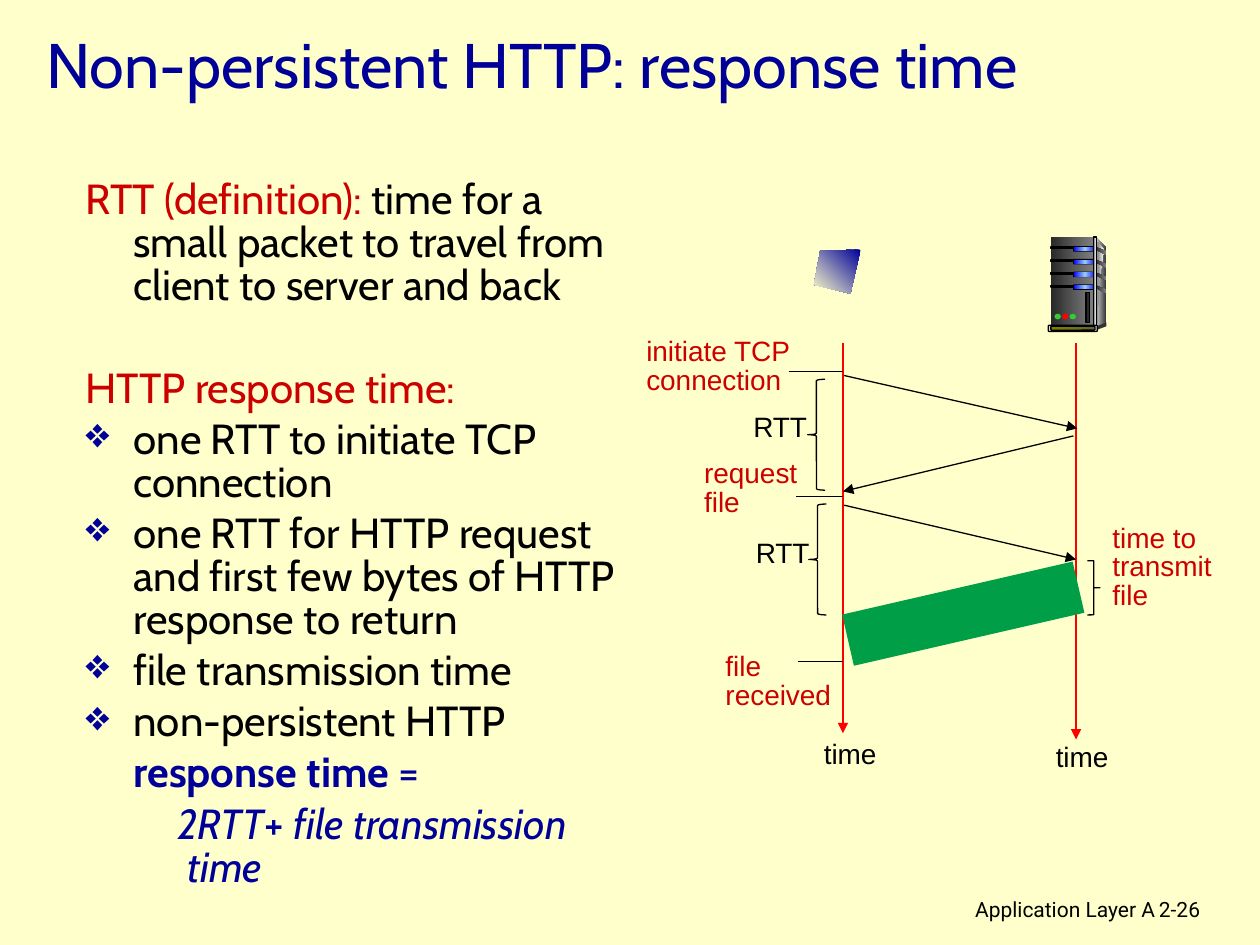
"""Build the slide on response time of non-persistent HTTP."""
from copy import deepcopy

from lxml.etree import SubElement
from pptx import Presentation
from pptx.dml.color import RGBColor
from pptx.enum.shapes import MSO_CONNECTOR, MSO_SHAPE as SHAPE
from pptx.enum.text import MSO_ANCHOR as ANCHOR, PP_ALIGN as ALIGN
from pptx.oxml.ns import qn
from pptx.util import Pt

COLORS = {
    "page": "FFFFCC", "navy": "000099", "red": "CC0000", "black": "000000",
    "arrow": "FF0000", "file": "009E47", "dark": "292929", "gray": "808080",
    "light": "DDDDDD", "edge": "333333", "shine": "F8F8F8", "blue": "0000FF",
    "sky": "99CCFF", "olive": "808000", "moss": "666633", "green": "33CC33",
}
DRIVE = ("blue", "sky", "blue")
CASE = ("dark", "gray")


def rgb(name):
    return RGBColor.from_string(COLORS[name])


def paint(shape, fill=(), line=None, width=0.75, angle=0):
    shape.shadow.inherit = False
    if not fill:
        shape.fill.background()
    elif len(fill) == 1:
        shape.fill.solid()
        shape.fill.fore_color.rgb = rgb(fill[0])
    else:
        shape.fill.gradient()
        shape.fill.gradient_angle = angle
        stop_list = next(shape._element.spPr.iter(qn("a:gsLst")))
        for _ in fill[2:]:
            stop_list.append(deepcopy(stop_list[0]))
        for i, (stop, name) in enumerate(zip(shape.fill.gradient_stops, fill)):
            stop.color.rgb = rgb(name)
            stop.position = i / (len(fill) - 1)
    if line:
        shape.line.color.rgb = rgb(line)
        shape.line.width = Pt(width)
    else:
        shape.line.fill.background()


def add_preset(page, kind, place, fill=(), line=None, adjust=()):
    shape = page.shapes.add_shape(kind, *map(Pt, place))
    for i, value in enumerate(adjust):
        shape.adjustments[i] = value
    paint(shape, fill, line)


def add_outline(page, points, closed=True, **look):
    start, *rest = [(Pt(x), Pt(y)) for x, y in points]
    builder = page.shapes.build_freeform(*start)
    builder.add_line_segments(rest, close=closed)
    paint(builder.convert_to_shape(), **look)


def add_line(page, ends, color="black", arrow=False):
    line = page.shapes.add_connector(MSO_CONNECTOR.STRAIGHT, *map(Pt, ends))
    line.line.color.rgb = rgb(color)
    line.line.width = Pt(0.75)
    properties = line._element.spPr
    if arrow:
        SubElement(properties.find(qn("a:ln")), qn("a:tailEnd"), type="triangle")
    SubElement(properties, qn("a:effectLst"))


def add_box(page, place):
    box = page.shapes.add_textbox(*map(Pt, place))
    frame = box.text_frame
    frame.word_wrap = True
    frame.margin_right = 0
    return frame


def style(span, color, size, font, bold=False, italic=False):
    span.font.name = font
    span.font.size = Pt(size)
    span.font.color.rgb = rgb(color)
    span.font.bold = bold
    span.font.italic = italic


def add_label(page, place, text, color="black", size=16, font="Arial",
              spacing=0.85, align=ALIGN.LEFT, anchor=ANCHOR.TOP):
    frame = add_box(page, place)
    frame.text = text
    frame.vertical_anchor = anchor
    for para in frame.paragraphs:
        para.alignment = align
        para.line_spacing = spacing
        for span in para.runs:
            style(span, color, size, font)


def add_entry(para, spans, before=4.8, left=27.4, indent=-27.4, bullet=False):
    para.line_spacing = 0.85
    para.space_before = Pt(before)
    properties = para._p.get_or_add_pPr()
    properties.set("marL", str(Pt(left)))
    properties.set("indent", str(Pt(indent)))
    if bullet:
        color = SubElement(properties, qn("a:buClr"))
        SubElement(color, qn("a:srgbClr"), val=COLORS["navy"])
        SubElement(properties, qn("a:buChar"), char="❖")
    for text, color, *emphasis in spans:
        span = para.add_run()
        span.text = text
        style(span, color, 24, "Cabin", "bold" in emphasis, "italic" in emphasis)


def add_body(page):
    bullets = ["one RTT to initiate TCP connection",
               "one RTT for HTTP request and first few bytes of HTTP response to return",
               "file transmission time", "non-persistent HTTP"]
    entries = [
        ([("RTT (definition):", "red"),
          (" time for a small packet to travel from client to server and back", "black")],
         {"before": 0}),
        ([("HTTP response time:", "red")], {"before": 34.4}),
        *[([(text, "black")], {"bullet": True}) for text in bullets],
        ([("response time ", "navy", "bold"), ("=", "navy")], {"indent": 0}),
        ([("2RTT", "navy", "italic"), ("+ ", "navy"),
          ("file transmission time", "navy", "italic")], {"left": 58.3, "indent": -6}),
    ]
    frame = add_box(page, (41.8, 99.4, 314.6, 417.6))
    for i, (spans, layout) in enumerate(entries):
        para = frame.add_paragraph() if i else frame.paragraphs[0]
        add_entry(para, spans, **layout)


def add_timeline(page):
    for x, bottom in ((481.7, 419), (614.9, 422.6)):
        add_line(page, (x, 195.8, x, bottom), "arrow", True)
    for ends in ((482.4, 214.6, 615.6, 244.8), (613.4, 249.1, 481.7, 280.8),
                 (482.4, 288.7, 614.9, 319.7)):
        add_line(page, ends, arrow=True)
    add_outline(page, [(616.3, 335.5), (484.6, 365.8)], closed=False,
                line="file", width=30)
    for left, y in ((450.7, 212.4), (455, 283.7), (455.8, 378)):
        add_line(page, (left, y, 482, y))
    for left, top in ((461.5, 216.7), (462.2, 288)):
        add_preset(page, SHAPE.LEFT_BRACE, (left, top, 10, 63.4),
                   line="black", adjust=(0.083, 0.5))
    add_preset(page, SHAPE.RIGHT_BRACE, (621.4, 320.4, 7.2, 31),
               line="black", adjust=(0.011, 0.5))
    for place, text in (((628.6, 296.6, 76.3, 56.2), "time to\ntransmit\nfile"),
                        ((362.2, 190.1, 97.2, 40.3), "initiate TCP\nconnection"),
                        ((395.3, 259.9, 67.7, 40.3), "request\nfile"),
                        ((407.5, 370.1, 74.9, 40.3), "file\nreceived")):
        add_label(page, place, text, "red")
    for left, top, text in ((423.4, 233.3, "RTT"), (424.8, 305.3, "RTT"),
                            (463.7, 420.5, "time")):
        add_label(page, (left, top, 45.4, 23.8), text)
    add_label(page, (596.2, 419, 44.6, 26.6), "time", spacing=1.0)


def add_server(page):
    add_outline(page, [(626.4, 135.4), (632.2, 141.8), (632.2, 184.3), (625.7, 186.5)],
                fill=("light", "edge"))
    add_preset(page, SHAPE.RECTANGLE, (600.5, 135.4, 24.5, 51.1), CASE)
    add_outline(page, [(627.1, 138.2), (630.7, 142.6), (627.8, 163), (627.1, 185)],
                fill=("gray", "shine"))
    for i in range(4):
        top = 140.6 + 7.3 * i
        add_preset(page, SHAPE.RECTANGLE, (600.5, top + 0.6, 13.7, 1), ("black",), "black")
        add_preset(page, SHAPE.ROUNDED_RECTANGLE, (613.2, top, 13.7, 3.2), ("black",))
        add_preset(page, SHAPE.ROUNDED_RECTANGLE, (613.5, top + 0.4, 13, 2.4), DRIVE)
        add_outline(page, [(626, top + 0.5), (632.2, top + 3), (632.2, top + 5),
                           (626, top + 2)], fill=CASE)
    add_preset(page, SHAPE.RECTANGLE, (625, 135.4, 1.4, 51.8),
               ("edge", "light", "edge"), "black")
    add_outline(page, [(626.4, 186.5), (626.4, 188.6), (632.2, 186.5), (632.2, 184.3)],
                fill=("edge",))
    add_preset(page, SHAPE.ROUNDED_RECTANGLE, (599, 185.8, 28.1, 3.6), ("light",), "black")
    add_preset(page, SHAPE.ROUNDED_RECTANGLE, (600.5, 186.5, 25.2, 2.2),
               ("olive", "moss"), "black")
    for i, color in enumerate(("green", "arrow", "green")):
        add_preset(page, SHAPE.OVAL, (602.6 + 4.3 * i, 179.3, 3.6, 3.2), (color,))
    add_preset(page, SHAPE.RECTANGLE, (620.6, 167, 2.2, 17.3), ("dark",), "black")


def main():
    deck = Presentation()
    deck.slide_width, deck.slide_height = Pt(720), Pt(540)
    page = deck.slides.add_slide(deck.slide_layouts[6])
    page.background.fill.solid()
    page.background.fill.fore_color.rgb = rgb("page")
    add_label(page, (439.2, 509, 221, 22.3), "Application Layer A", size=12,
              font="Roboto", spacing=1.0, align=ALIGN.RIGHT)
    add_label(page, (655.2, 509, 53.3, 21.6), "2-26", size=12, font="Roboto", spacing=1.0)
    add_label(page, (19.4, 0, 647.3, 72.7), "Non-persistent HTTP: response time", "navy",
              size=36, font="Cabin", spacing=1.0, anchor=ANCHOR.MIDDLE)
    add_body(page)
    add_timeline(page)
    add_server(page)
    add_outline(page, [(491.8, 142.6), (468.7, 143.3), (465.1, 162.7), (486, 167.8)],
                fill=("navy", "page"), angle=225)
    deck.save("out.pptx")


if __name__ == "__main__":
    main()
